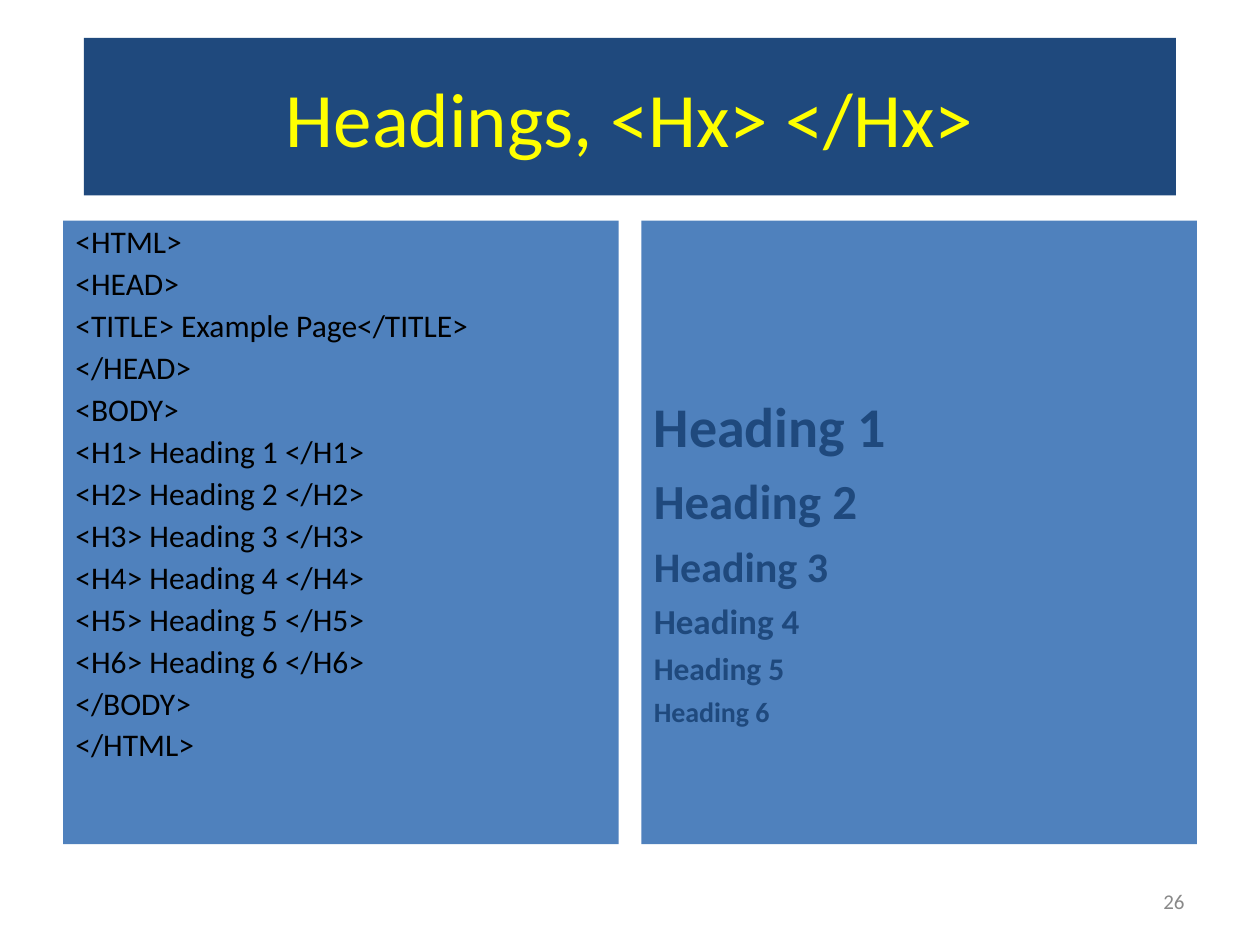
"""Build the slide on HTML headings: the source on the left, the result on the right."""
from pptx import Presentation
from pptx.dml.color import RGBColor
from pptx.enum import shapes, text
from pptx.util import Pt

NAVY = RGBColor(0x1F, 0x49, 0x7D)
BLUE = RGBColor(0x4F, 0x81, 0xBD)
YELLOW = RGBColor(0xFF, 0xFF, 0x00)
BLACK = RGBColor(0x00, 0x00, 0x00)
GREY = RGBColor(0x89, 0x89, 0x89)

LEFT, CENTER, RIGHT = text.PP_ALIGN.LEFT, text.PP_ALIGN.CENTER, text.PP_ALIGN.RIGHT
TOP, MIDDLE = text.MSO_ANCHOR.TOP, text.MSO_ANCHOR.MIDDLE

deck = Presentation()
deck.slide_width, deck.slide_height = Pt(720), Pt(540)
page = deck.slides.add_slide(deck.slide_layouts[6])


def set_all(target, values):
    for name, value in values.items():
        setattr(target, name, value)


def add_box(bounds, fill, lines, color, align=LEFT, anchor=TOP, bold=False, spacing=1.0, inset=3.6):
    place = [Pt(length) for length in bounds]
    if fill is None:
        box = page.shapes.add_textbox(*place)
    else:
        box = page.shapes.add_shape(shapes.MSO_SHAPE.RECTANGLE, *place)
        box.shadow.inherit = False
        box.fill.solid()
        box.fill.fore_color.rgb = fill
        box.line.fill.background()
    frame = box.text_frame
    set_all(frame, {"word_wrap": True, "vertical_anchor": anchor, "margin_top": Pt(inset)})
    for index, (words, size) in enumerate(lines):
        para = frame.add_paragraph() if index else frame.paragraphs[0]
        set_all(para, {"alignment": align, "line_spacing": spacing, "space_before": Pt(size / 4)})
        span = para.add_run()
        span.text = words
        set_all(span.font, {"name": "Calibri", "size": Pt(size), "bold": bold})
        span.font.color.rgb = color


levels = range(1, 7)
source = ["<HTML>", "<HEAD>", "<TITLE> Example Page</TITLE>", "</HEAD>", "<BODY>"]
source += [f"<H{level}> Heading {level} </H{level}>" for level in levels]
source += ["</BODY>", "</HTML>"]
code_lines = [(words, 18) for words in source]
heading_sizes = [32, 28, 24, 20, 18, 16]
heading_lines = [(f"Heading {level}", size) for level, size in zip(levels, heading_sizes)]

margin, panel_top, panel_width, panel_height = 36, 126, 317.5, 356.4
right_panel = 720 - margin - panel_width

add_box((516, 500.4, 168, 28.8), None, [("26", 12)], GREY, RIGHT, MIDDLE)
add_box((48, 21.6, 624, 90), NAVY, [("Headings, <Hx> </Hx>", 44)], YELLOW, CENTER, MIDDLE)
add_box((margin, panel_top, panel_width, panel_height), BLUE, code_lines, BLACK, spacing=0.9)
add_box((right_panel, panel_top, panel_width, panel_height), BLUE, heading_lines, NAVY,
        bold=True, inset=97.7)

deck.save("out.pptx")
